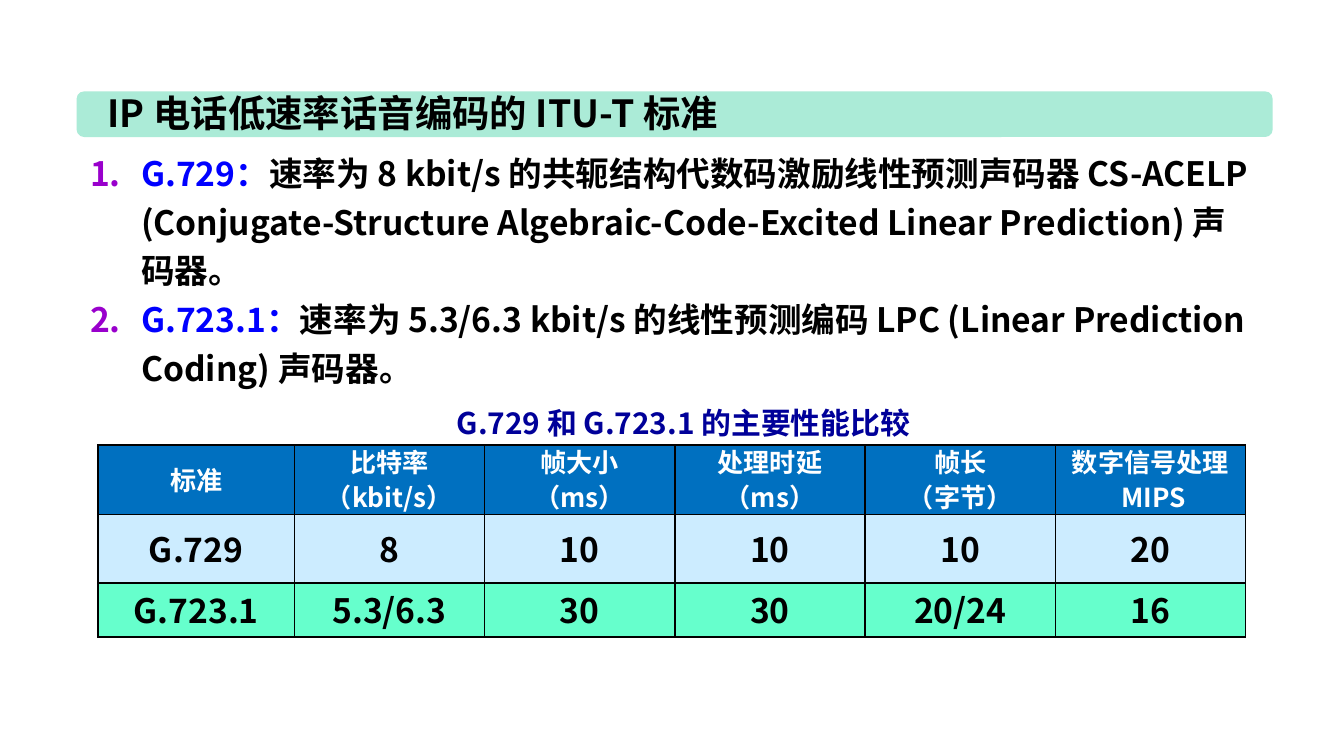
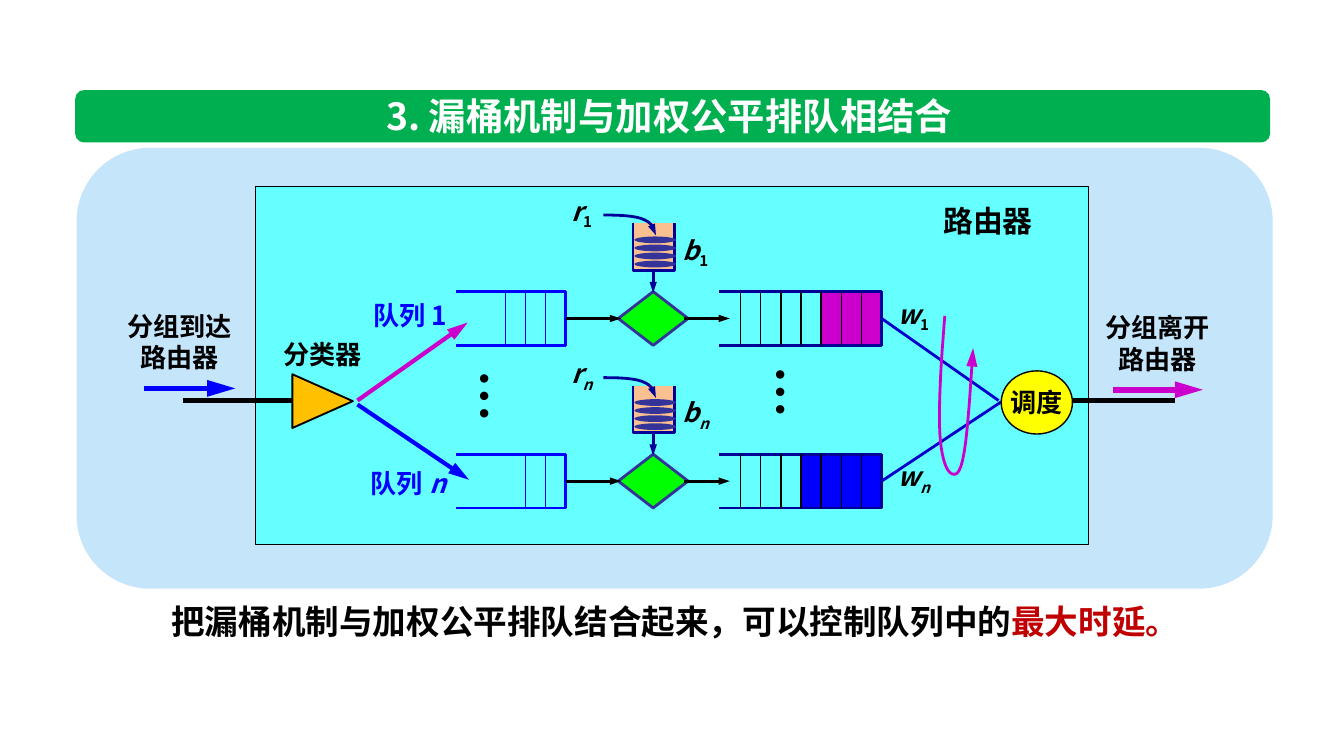
from lxml.etree import SubElement
from pptx import Presentation
from pptx.dml.color import RGBColor
from pptx.enum.shapes import MSO_CONNECTOR, MSO_SHAPE
from pptx.enum.text import MSO_ANCHOR, MSO_AUTO_SIZE, PP_ALIGN
from pptx.oxml.ns import qn
from pptx.util import Inches, Pt

FONT = "Noto Sans CJK SC"
HEX = {
    "black": "000000", "white": "FFFFFF", "mint": "ABEBD7", "green": "00B050",
    "blue": "0000FF", "navy": "000099", "royal": "0000CC", "violet": "9900CC",
    "head": "0070C0", "ice": "CCECFF", "aqua": "66FFCC", "panel": "C5E5FB",
    "cyan": "66FFFF", "pink": "CC00CC", "gold": "FFC000", "yellow": "FFFF00",
    "lime": "00FF00", "indigo": "333399", "peach": "FAC090", "red": "C00000",
}
LEFT, MID = PP_ALIGN.LEFT, PP_ALIGN.CENTER
BLUE = {"color": "blue"}

CODECS = [
    [("G.729：", BLUE), "速率为 8 kbit/s 的共轭结构代数码激励线性预测声码器 CS-ACELP "
     "(Conjugate-Structure Algebraic-Code-Excited Linear Prediction) 声码器。"],
    [("G.723.1：", BLUE), "速率为 5.3/6.3 kbit/s 的线性预测编码 LPC "
     "(Linear Prediction Coding) 声码器。"],
]
ROWS = [
    ("head", "white", 14, 0.52, ["标准", "比特率\n（kbit/s）", "帧大小\n（ms）",
                                 "处理时延\n（ms）", "帧长\n（字节）", "数字信号处理\n MIPS"]),
    ("ice", "black", 18, 0.51, ["G.729", "8", "10", "10", "10", "20"]),
    ("aqua", "black", 18, 0.4, ["G.723.1", "5.3/6.3", "30", "30", "20/24", "16"]),
]
WIDE, FIRST = 8.54, 1.46
WIDTHS = [FIRST] + [(WIDE - FIRST) / 5] * 5
CLAIM = [["把漏桶机制与加权公平排队结合起来，可以控制队列中的", ("最大时延。", {"color": "red"})]]
LANES = [
    {"top": 2.17, "sub": "1", "slant": False, "wait": 3, "sent": 3, "fill": "pink",
     "name": (2.68, 2.18), "end": (7.43, 2.98)},
    {"top": 3.38, "sub": "n", "slant": True, "wait": 2, "sent": 4, "fill": "blue",
     "name": (2.66, 3.43), "end": (7.45, 2.99)},
]
LABELS = [
    ((8.12, 2.27, 0.99, 0.57), ["分组离开", "路由器"], 14, MID),
    ((0.84, 2.26, 0.99, 0.57), ["分组到达", "路由器"], 14, MID),
    ((2.01, 2.47, 0.79, 0.34), ["分类器"], 14, LEFT),
    ((6.92, 1.46, 0.88, 0.37), ["路由器"], 16, LEFT),
]
THIN, LONG = ("sm", "med"), ("med", "lg")
FLOWS = [
    ((7.93, 2.98), (8.74, 2.98), "black", 2.25, None),
    ((1.36, 2.98), (2.17, 2.98), "black", 2.25, None),
    ((1.07, 2.89), (1.75, 2.89), "blue", 3, LONG),
    ((8.28, 2.9), (8.95, 2.9), "pink", 3, LONG),
    ((2.66, 2.98), (3.48, 2.4), "pink", 2.25, LONG),
    ((2.66, 3.01), (3.49, 3.57), "blue", 2.25, LONG),
]
LOOP = [
    [(7.03, 2.35), (7.01, 2.6), (6.99, 2.85), (6.99, 3.12)],
    [(6.99, 3.12), (6.99, 3.35), (7.03, 3.53), (7.1, 3.53)],
    [(7.1, 3.53), (7.18, 3.53), (7.2, 3.2), (7.24, 2.59)],
]


def rgb(name):
    return RGBColor.from_string(HEX[name])


def write(frame, paras, size=14, color="black", align=LEFT, gap=None, wrap=False,
          anchor=MSO_ANCHOR.TOP, number=None):
    frame.word_wrap = wrap
    frame.auto_size = MSO_AUTO_SIZE.NONE
    frame.vertical_anchor = anchor
    for i, runs in enumerate(paras):
        para = frame.paragraphs[0] if i == 0 else frame.add_paragraph()
        props = para._p.get_or_add_pPr()
        dent = Inches(0.38) if number else 0
        props.set("marL", str(dent))
        props.set("indent", str(-dent))
        if number:
            tint = SubElement(props, qn("a:buClr"))
            SubElement(tint, qn("a:srgbClr"), val=HEX[number])
            SubElement(props, qn("a:buAutoNum"), type="arabicPeriod")
        else:
            SubElement(props, qn("a:buNone"))
        para.alignment = align
        para.space_before = Pt(0)
        if gap:
            para.line_spacing = gap
        for part in [runs] if isinstance(runs, str) else runs:
            text, style = (part, {}) if isinstance(part, str) else part
            run = para.add_run()
            run.text = text
            font = run.font
            font.name, font.size, font.bold = FONT, Pt(size), True
            font.italic = style.get("slant", False)
            font.color.rgb = rgb(style.get("color", color))
            props = run._r.get_or_add_rPr()
            SubElement(props, qn("a:ea"), typeface=FONT)
            if style.get("sub"):
                props.set("baseline", "-25000")


def place(shape, box):
    shape.left, shape.top, shape.width, shape.height = map(Inches, box)


def label(slide, box, paras, **style):
    shape = slide.shapes.add_textbox(*map(Inches, box))
    write(shape.text_frame, paras, **style)
    return shape


def paint(shape, fill=None, line=None, width=0.75):
    shape.shadow.inherit = False
    if fill:
        shape.fill.solid()
        shape.fill.fore_color.rgb = rgb(fill)
    else:
        shape.fill.background()
    if line:
        shape.line.color.rgb = rgb(line)
        shape.line.width = Pt(width)
    else:
        shape.line.fill.background()
    return shape


def draw(slide, kind, box, **look):
    return paint(slide.shapes.add_shape(kind, *map(Inches, box)), **look)


def tip(shape, size):
    line = shape._element.spPr.find(qn("a:ln"))
    SubElement(line, qn("a:tailEnd"), type="triangle", w=size[0], len=size[1])


def link(slide, start, end, color, width=0.75, arrow=None):
    line = slide.shapes.add_connector(MSO_CONNECTOR.STRAIGHT, *map(Inches, start + end))
    line.line.color.rgb = rgb(color)
    line.line.width = Pt(width)
    if arrow:
        tip(line, arrow)
    SubElement(line._element.spPr, qn("a:effectLst"))


def trace(slide, points, **look):
    spots = [(Inches(x), Inches(y)) for x, y in points]
    path = slide.shapes.build_freeform(*spots[0])
    path.add_line_segments(spots[1:], close=False)
    return paint(path.convert_to_shape(), **look)


def bend(curves, steps=12):
    points = [curves[0][0]]
    for a, b, c, d in curves:
        for i in range(1, steps + 1):
            t = i / steps
            u = 1 - t
            points.append(tuple(u**3 * p + 3 * u * u * t * q + 3 * u * t * t * r + t**3 * s
                                for p, q, r, s in zip(a, b, c, d)))
    return points


def start(deck, text, box, band, fill, **style):
    slide = deck.slides.add_slide(deck.slide_layouts[1])
    bar = draw(slide, MSO_SHAPE.ROUNDED_RECTANGLE, band, fill=fill)
    slide.shapes._spTree.insert(2, bar._element)
    place(slide.shapes.title, box)
    write(slide.shapes.title.text_frame, [text], size=20, **style)
    return slide


def fill_body(slide, box, paras, **style):
    body = slide.placeholders[1]
    place(body, box)
    write(body.text_frame, paras, size=18, gap=Pt(26), wrap=True, **style)


def edge(cell):
    props = cell._tc.get_or_add_tcPr()
    for i, side in enumerate(("lnL", "lnR", "lnT", "lnB")):
        line = SubElement(props, qn("a:" + side), w=str(Pt(1)))
        fill = SubElement(line, qn("a:solidFill"))
        SubElement(fill, qn("a:srgbClr"), val=HEX["black"])
        props.insert(i, line)


def add_grid(slide):
    high = sum(row[3] for row in ROWS)
    box = map(Inches, (0.73, 3.31, WIDE, high))
    grid = slide.shapes.add_table(len(ROWS), len(WIDTHS), *box).table
    for col, width in zip(grid.columns, WIDTHS):
        col.width = Inches(width)
    for row, (fill, color, size, high, texts) in zip(grid.rows, ROWS):
        row.height = Inches(high)
        for cell, text in zip(row.cells, texts):
            cell.margin_top = cell.margin_bottom = 0
            cell.fill.solid()
            cell.fill.fore_color.rgb = rgb(fill)
            edge(cell)
            write(cell.text_frame, text.split("\n"), size=size, color=color,
                  align=MID, gap=0.9, wrap=True)
            cell.vertical_anchor = MSO_ANCHOR.MIDDLE


def add_queue(slide, left, right, top, count, rim, tick):
    low = top + 0.4
    trace(slide, [(left, top), (right, top), (right, low), (left, low)], line=rim, width=1.5)
    for i in range(1, count + 1):
        x = right - 0.15 * i
        link(slide, (x, top), (x, low), tick)


def add_bucket(slide, top):
    low = top - 0.16
    rim = low - 0.35
    trace(slide, [(4.71, rim), (4.71, low), (5.02, low), (5.02, rim)],
          fill="peach", line="navy", width=1.5)
    for i in range(4):
        draw(slide, MSO_SHAPE.OVAL, (4.72, top - 0.23 - 0.06 * i, 0.31, 0.05), fill="indigo")
    y = top - 0.57
    curve = [(4.49, y), (4.74, y), (4.86, y + 0.02), (4.88, y + 0.15)]
    tip(trace(slide, bend([curve]), line="navy", width=1.5), THIN)
    link(slide, (4.86, low), (4.86, top + 0.01), "navy", 1.5, THIN)


def add_lane(slide, lane):
    top = lane["top"]
    add_queue(slide, 3.39, 4.21, top, lane["wait"], "blue", "blue")
    sent = 0.15 * lane["sent"]
    draw(slide, MSO_SHAPE.RECTANGLE, (6.56 - sent, top, sent, 0.4), fill=lane["fill"])
    add_queue(slide, 5.35, 6.56, top, 7, "navy", "black")
    draw(slide, MSO_SHAPE.DIAMOND, (4.6, top, 0.52, 0.4), fill="lime", line="indigo", width=1.5)
    for left, right in ((4.21, 4.62), (5.09, 5.43)):
        link(slide, (left, top + 0.2), (right, top + 0.2), "black", 1.5, THIN)
    add_bucket(slide, top)
    link(slide, (6.56, top + 0.2), lane["end"], "royal", 1.5)
    slant = {"slant": lane["slant"]}
    for sign, x, y, wide, align, gap in (("w", 6.58, 0, 0.45, LEFT, None),
                                         ("b", 4.97, -0.49, 0.41, MID, 1.05),
                                         ("r", 4.15, -0.78, 0.36, MID, 1.05)):
        runs = [(sign, {"slant": True}), (lane["sub"], {"sub": True, **slant})]
        label(slide, (x, top + y, wide, 0.34), [runs], align=align, gap=gap)
    label(slide, lane["name"] + (0.9, 0.34), [["队列 ", (lane["sub"], slant)]],
          color="blue", wrap=True)


def add_router(slide):
    draw(slide, MSO_SHAPE.ROUNDED_RECTANGLE, (0.57, 1.1, 8.9, 3.28), fill="panel")
    draw(slide, MSO_SHAPE.RECTANGLE, (1.9, 1.39, 6.2, 2.66), fill="cyan", line="black")
    for lane in LANES:
        add_lane(slide, lane)
    for flow in FLOWS:
        link(slide, *flow)
    sorter = draw(slide, MSO_SHAPE.ISOSCELES_TRIANGLE, (2.2, 2.76, 0.4, 0.45),
                  fill="gold", line="black", width=1)
    sorter.rotation = 90
    clock = draw(slide, MSO_SHAPE.OVAL, (7.45, 2.76, 0.53, 0.47), fill="yellow", line="black")
    write(clock.text_frame, ["调度"], align=MID, anchor=MSO_ANCHOR.MIDDLE)
    tip(trace(slide, bend(LOOP), line="pink", width=1.5), LONG)
    for x, y in ((5.51, 2.64), (3.31, 2.67)):
        label(slide, (x, y, 0.58, 0.57), ["…"], size=28).rotation = 270
    for box, paras, size, align in LABELS:
        label(slide, box, paras, size=size, align=align)


def main():
    deck = Presentation()
    deck.slide_width = Inches(10)
    deck.slide_height = deck.slide_width * 9 // 16
    slide = start(deck, "IP 电话低速率话音编码的 ITU-T 标准", (0.7, 0.62, 4.97, 0.44),
                  (0.57, 0.68, 8.9, 0.34), "mint")
    fill_body(slide, (0.57, 1.03, 8.9, 1.89), CODECS, number="violet")
    label(slide, (2.94, 2.96, 4.29, 0.37), ["G.729 和 G.723.1 的主要性能比较"],
          size=16, color="navy", align=MID, wrap=True)
    add_grid(slide)
    slide = start(deck, "3. 漏桶机制与加权公平排队相结合", (2.7, 0.64, 4.56, 0.44),
                  (0.56, 0.67, 8.89, 0.39), "green", color="white", align=MID)
    add_router(slide)
    fill_body(slide, (1.16, 4.36, 7.73, 0.43), CLAIM, align=MID)
    deck.save("out.pptx")


if __name__ == "__main__":
    main()
